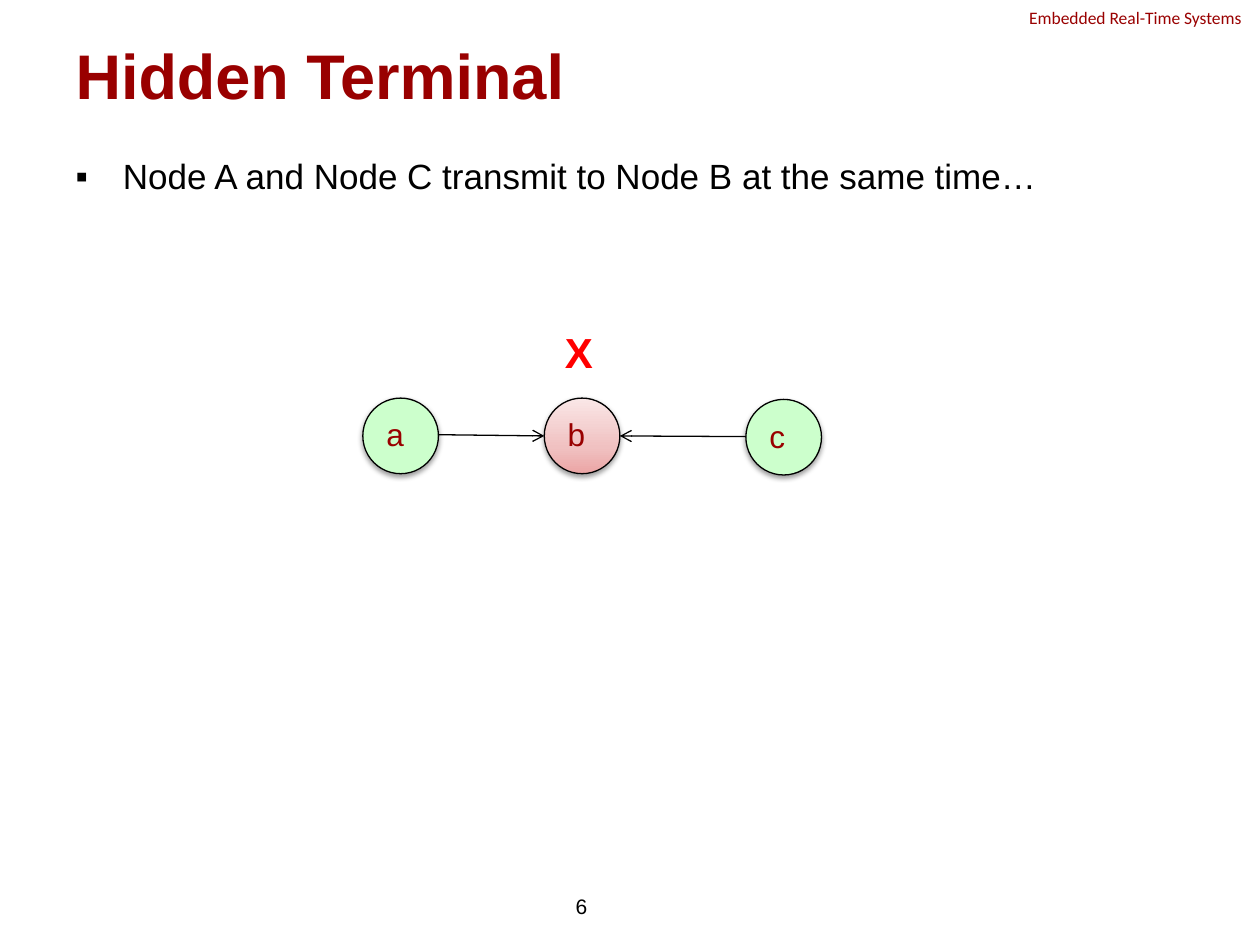
"""Build the Hidden Terminal slide: nodes a and c both transmit to node b."""
from copy import deepcopy
from lxml import etree
from pptx import Presentation
from pptx import util as u
from pptx.dml.color import RGBColor
from pptx.enum import shapes, text
from pptx.oxml.ns import qn

HUES = {"red": "990000", "black": "000000", "green": "CCFFCC", "cross": "FF0000"}
FADE = [(0, "EBA5A5"), (0.35, "F0C1C1"), (1, "FAE7E7")]

deck = Presentation()
deck.slide_width, deck.slide_height = u.Inches(10), u.Inches(7.5)
cell = deck.slide_width / 100
slide = deck.slides.add_slide(deck.slide_layouts[1])
items = slide.shapes


def grid(*spans):
    return [u.Emu(round(span * cell)) for span in spans]


def write(shape, words, size, hue, font="Arial", bold=False,
          align=text.PP_ALIGN.LEFT, anchor=text.MSO_ANCHOR.TOP):
    frame = shape.text_frame
    frame.word_wrap = True
    frame.vertical_anchor = anchor
    frame.text = words
    para = frame.paragraphs[0]
    para.alignment = align
    para.space_before = u.Pt(0)
    para.font.name, para.font.size, para.font.bold = font, u.Pt(size), bold
    para.font.color.rgb = RGBColor.from_string(HUES[hue])
    return para


head = items.add_textbox(*grid(80.7, 0.1, 22.7, 2.7))
write(head, "Embedded Real-Time Systems", 10, "red", "Calibri")

title = items.title
title.left, title.top, title.width, title.height = grid(5, 3, 90, 5.8)
write(title, "Hidden Terminal", 36, "red", bold=True, anchor=text.MSO_ANCHOR.MIDDLE)

body = slide.placeholders[1]
body.left, body.top, body.width, body.height = grid(5, 11.8, 90, 55.2)
body.text_frame.text = "Node A and Node C transmit to Node B at the same time…"
props = body.text_frame.paragraphs[0]._p.get_or_add_pPr()
indent = grid(3.75)[0]
props.set("marL", str(indent))
props.set("indent", str(-indent))
para = write(body, body.text_frame.text, 20, "black")
props = para._p.get_or_add_pPr()
props.set("marL", str(indent))
props.set("indent", str(-indent))
mark = etree.Element(qn("a:buChar"), char="▪")
props.find(qn("a:spcBef")).addnext(mark)

page = items.add_textbox(*grid(24.3, 69.9, 23.3, 4))
write(page, "6", 12, "black", align=text.PP_ALIGN.RIGHT, anchor=text.MSO_ANCHOR.MIDDLE)

for name, left, top in [("a", 28.8, 31.6), ("b", 43.2, 31.6), ("c", 59.2, 31.7)]:
    node = items.add_shape(shapes.MSO_SHAPE.OVAL, *grid(left, top, 6, 6))
    if name == "b":
        node.fill.gradient()
        node.fill.gradient_angle = 90
        stops = node._element.spPr.find(".//" + qn("a:gsLst"))
        stops.append(deepcopy(stops[0]))
        for stop, (place, hue) in zip(node.fill.gradient_stops, FADE):
            stop.position = place
            stop.color.rgb = RGBColor.from_string(hue)
    else:
        node.fill.solid()
        node.fill.fore_color.rgb = RGBColor.from_string(HUES["green"])
    node.line.color.rgb = RGBColor.from_string(HUES["black"])
    node.line.width = u.Pt(0.75)
    node.shadow.inherit = False
    glow = etree.SubElement(
        node._element.spPr.find(qn("a:effectLst")), qn("a:outerShdw"),
        blurRad=str(u.Pt(3.1)), dist=str(u.Pt(1.6)), dir="5400000", rotWithShape="0")
    shade = etree.SubElement(glow, qn("a:srgbClr"), val=HUES["black"])
    etree.SubElement(shade, qn("a:alpha"), val="38000")
    write(node, name, 18, "red")

for ends in [(34.8, 34.5, 43.2, 34.6), (59.2, 34.65, 49.2, 34.6)]:
    link = items.add_connector(shapes.MSO_CONNECTOR.STRAIGHT, *grid(*ends))
    link.line.color.rgb = RGBColor.from_string(HUES["black"])
    link.line.width = u.Pt(0.75)
    etree.SubElement(link.line._get_or_add_ln(), qn("a:tailEnd"), type="arrow")
    etree.SubElement(link._element.spPr, qn("a:effectLst"))

cross = items.add_textbox(*grid(43.1, 25.4, 5.7, 5))
write(cross, "X", 24, "cross", bold=True, align=text.PP_ALIGN.CENTER)

deck.save("out.pptx")
